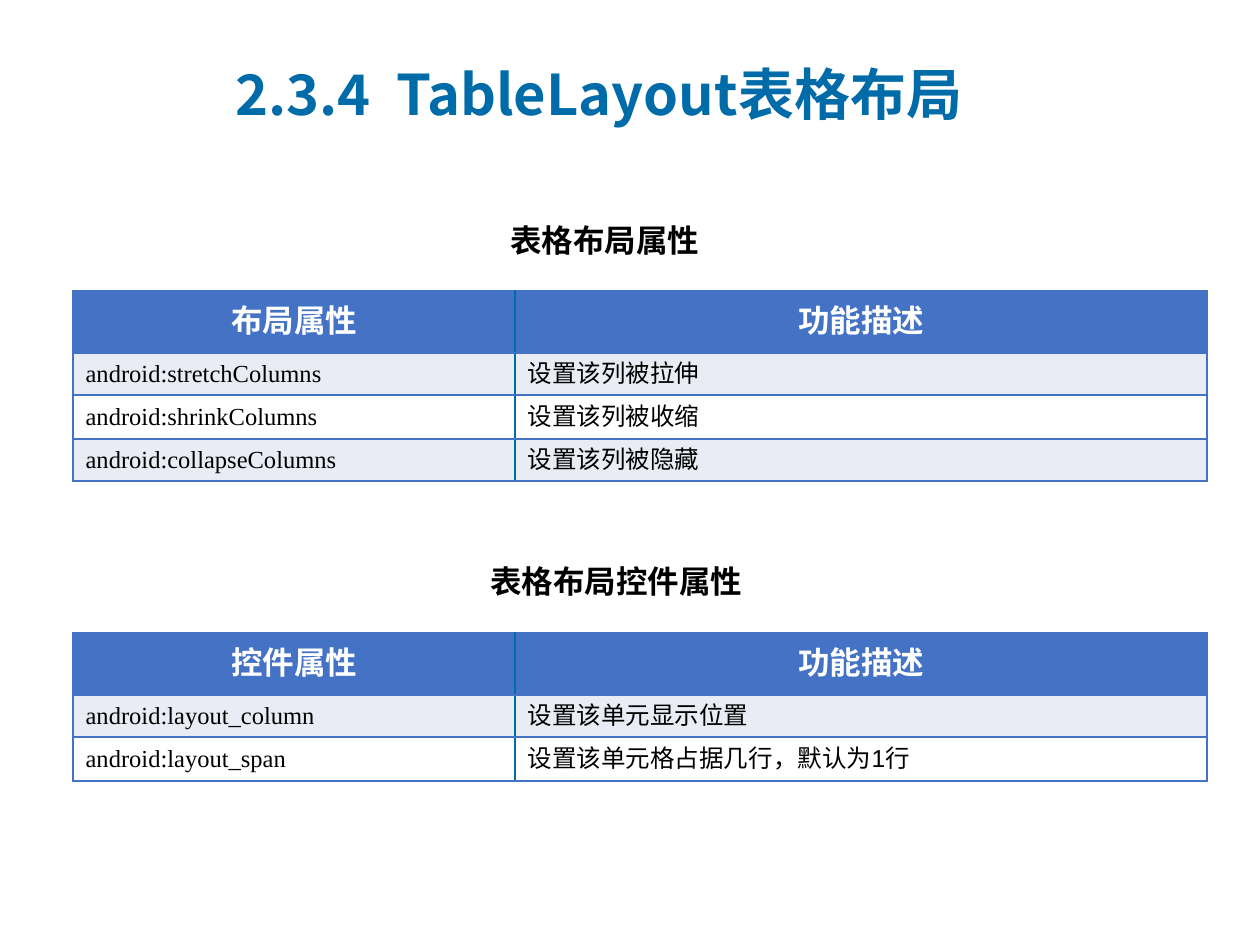
from lxml.etree import SubElement
from pptx import Presentation
from pptx.dml.color import RGBColor as RGB
from pptx.enum.text import MSO_ANCHOR as ANCHOR, MSO_AUTO_SIZE as AUTO, PP_ALIGN as ALIGN
from pptx.oxml.ns import qn
from pptx.util import Emu, Pt

COLORS = {"title": "006BA9", "rule": "4472C4", "divider": "006BA9", "head": "4472C4",
          "band": "E9EBF5", "plain": "FFFFFF", "ink": "000000", "head_ink": "FFFFFF"}
FORMATS = {
    "title": {"name": "Noto Sans CJK SC", "size": Pt(32), "bold": True},
    "caption": {"name": "Arial", "size": Pt(18), "bold": True},
    "name": {"name": "Times New Roman", "size": Pt(14), "bold": False},
    "text": {"name": "Arial", "size": Pt(14), "bold": False},
}
COL_WIDTHS = (442, 692)
HEAD_HEIGHT = 62
ROW_HEIGHTS = (42, 44)  # banded, plain


def px(n):
    return Emu(round(n * 914400 / 126))


def write(p, text, fmt, color):
    r = p.add_run()
    r.text = text
    for key, value in FORMATS[fmt].items():
        setattr(r.font, key, value)
    r.font.color.rgb = RGB.from_string(COLORS[color])
    # East Asian characters use the same typeface
    SubElement(r.font._element, qn("a:ea"), typeface=FORMATS[fmt]["name"])


def add_text(slide, box, text, fmt, color, **frame):
    tf = slide.shapes.add_textbox(*map(px, box)).text_frame
    for key, value in frame.items():
        setattr(tf, key, value)
    write(tf.paragraphs[0], text, fmt, color)
    return tf


def add_title(slide, box, text):
    tf = add_text(slide, box, text, "title", "title",
                  word_wrap=True, vertical_anchor=ANCHOR.MIDDLE)
    pPr = tf.paragraphs[0]._p.get_or_add_pPr()
    pPr.set("marL", str(px(78)))
    pPr.set("indent", str(-px(78)))


def add_caption(slide, box, text):
    add_text(slide, box, text, "caption", "ink",
             word_wrap=False, auto_size=AUTO.SHAPE_TO_FIT_TEXT)


def set_borders(cell, col):
    tcPr = cell._tc.get_or_add_tcPr()
    inner = "R" if col == 0 else "L"
    for side in "LRTB":
        ln = SubElement(tcPr, qn(f"a:ln{side}"), w=str(Pt(1)))
        fill = SubElement(ln, qn("a:solidFill"))
        color = COLORS["divider" if side == inner else "rule"]
        SubElement(fill, qn("a:srgbClr"), val=color)


def add_attribute_table(slide, left, top, rows):
    heights = [HEAD_HEIGHT] + [ROW_HEIGHTS[i % 2] for i in range(len(rows) - 1)]
    box = (left, top, sum(COL_WIDTHS), sum(heights))
    table = slide.shapes.add_table(len(rows), len(COL_WIDTHS), *map(px, box)).table
    for column, width in zip(table.columns, COL_WIDTHS):
        column.width = px(width)
    for i, (row, height) in enumerate(zip(rows, heights)):
        table.rows[i].height = px(height)
        fill = "head" if i == 0 else "band" if i % 2 else "plain"
        for j, text in enumerate(row):
            cell = table.cell(i, j)
            cell.vertical_anchor = ANCHOR.MIDDLE
            set_borders(cell, j)
            cell.fill.solid()
            cell.fill.fore_color.rgb = RGB.from_string(COLORS[fill])
            p = cell.text_frame.paragraphs[0]
            if i == 0:
                p.alignment = ALIGN.CENTER
                write(p, text, "caption", "head_ink")
            else:
                write(p, text, ("name", "text")[j], "ink")


def main():
    prs = Presentation()
    prs.slide_width, prs.slide_height = px(1260), px(945)
    slide = prs.slides.add_slide(prs.slide_layouts[6])

    # Layout attributes
    add_caption(slide, (498, 215, 218, 50), "表格布局属性")
    add_attribute_table(slide, 73, 291, [
        ("布局属性", "功能描述"),
        ("android:stretchColumns", "设置该列被拉伸"),
        ("android:shrinkColumns", "设置该列被收缩"),
        ("android:collapseColumns", "设置该列被隐藏"),
    ])

    # Child control attributes
    add_caption(slide, (478, 556, 281, 50), "表格布局控件属性")
    add_attribute_table(slide, 73, 633, [
        ("控件属性", "功能描述"),
        ("android:layout_column", "设置该单元显示位置"),
        ("android:layout_span", "设置该单元格占据几行，默认为1行"),
    ])

    # Title
    add_title(slide, (223, 55, 973, 77), "2.3.4  TableLayout表格布局")
    prs.save("out.pptx")


if __name__ == "__main__":
    main()
